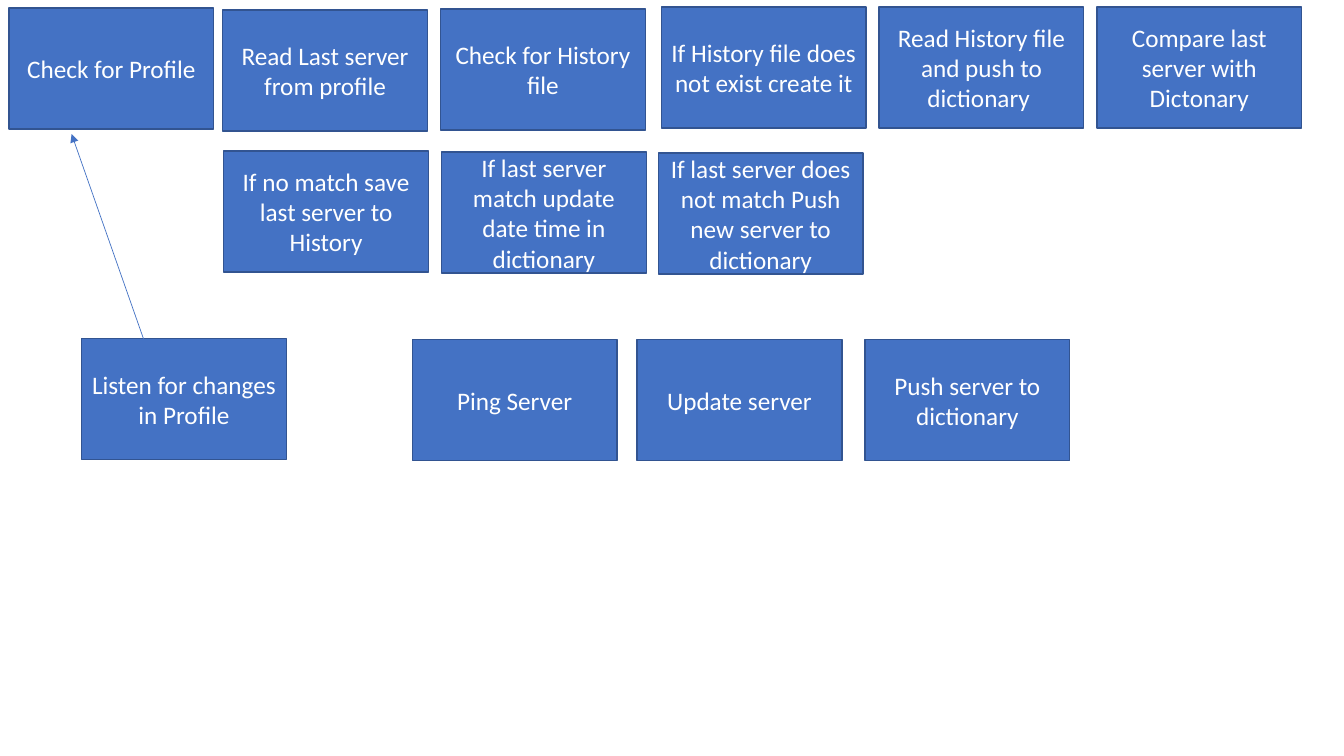
from lxml import etree
from pptx import Presentation
from pptx.dml.color import RGBColor
from pptx.enum.shapes import MSO_CONNECTOR, MSO_SHAPE
from pptx.enum.text import MSO_ANCHOR, PP_ALIGN
from pptx.oxml.ns import qn
from pptx.util import Inches, Pt

RECTANGLE = MSO_SHAPE.RECTANGLE
STRAIGHT = MSO_CONNECTOR.STRAIGHT
MIDDLE = MSO_ANCHOR.MIDDLE
CENTER = PP_ALIGN.CENTER

COLORS = {"fill": "4472C4", "edge": "325491", "text": "FFFFFF"}
CELL = Inches(0.01)  # fine square grid: 1333 columns by 750 rows
STEP_SIZE = (203, 120)

# Each step: column, row, paragraphs
STARTUP_STEPS = [
    (9, 8, ["Check for Profile"]),
    (221, 10, ["Read Last server from profile"]),
    (437, 9, ["Check for History", "file"]),
    (656, 7, ["If History file does not exist create it"]),
    (872, 7, ["Read History file and push to dictionary "]),
    (1088, 7, ["Compare last server with Dictonary"]),
]
MATCH_STEPS = [
    (222, 150, ["If no match save last server to History"]),
    (438, 151, ["If last server match update date time in dictionary"]),
    (653, 152, ["If last server does not match Push new server to dictionary"]),
]
LISTEN_STEPS = [(81, 336, ["Listen for changes in Profile"])]
SERVER_STEPS = [
    (409, 337, ["Ping Server"]),
    (632, 337, ["Update server"]),
    (858, 337, ["Push server to dictionary"]),
]


class FlowPage:
    """Holds the style and the current slide."""

    font = "Calibri"
    text_size = Pt(18)

    def __init__(self, deck):
        """Add a blank slide to the deck."""
        self.page = deck.slides.add_slide(deck.slide_layouts[6])

    def color(self, name):
        """Return a named colour."""
        return RGBColor.from_string(COLORS[name])

    def step(self, column, row, paragraphs):
        """Draw one process box with centred text."""
        place = [CELL * cells for cells in (column, row, *STEP_SIZE)]
        box = self.page.shapes.add_shape(RECTANGLE, *place)
        box.shadow.inherit = False
        box.fill.solid()
        box.fill.fore_color.rgb = self.color("fill")
        box.line.color.rgb = self.color("edge")
        box.line.width = Pt(1)
        frame = box.text_frame
        frame.word_wrap = True
        frame.vertical_anchor = MIDDLE
        for index, text in enumerate(paragraphs):
            para = frame.add_paragraph() if index else frame.paragraphs[0]
            para.alignment = CENTER
            self.span(para, text)

    def span(self, para, text):
        """Add one styled run to a paragraph."""
        span = para.add_run()
        span.text = text
        span.font.name = self.font
        span.font.size = self.text_size
        span.font.color.rgb = self.color("text")

    def arrow(self, start, end):
        """Draw a thin arrow between two grid points."""
        ends = [CELL * cells for cells in (*start, *end)]
        arrow = self.page.shapes.add_connector(STRAIGHT, *ends)
        arrow.line.color.rgb = self.color("fill")
        arrow.line.width = Pt(0.5)
        properties = arrow.line._get_or_add_ln()
        etree.SubElement(properties, qn("a:tailEnd"), type="triangle")
        etree.SubElement(arrow._element.spPr, qn("a:effectLst"))


deck = Presentation()
deck.slide_width, deck.slide_height = Inches(13.33), Inches(7.5)
flow = FlowPage(deck)
for steps in (STARTUP_STEPS, MATCH_STEPS, LISTEN_STEPS, SERVER_STEPS):
    for step in steps:
        flow.step(*step)
flow.arrow((156, 375), (71, 133))
deck.save("out.pptx")
